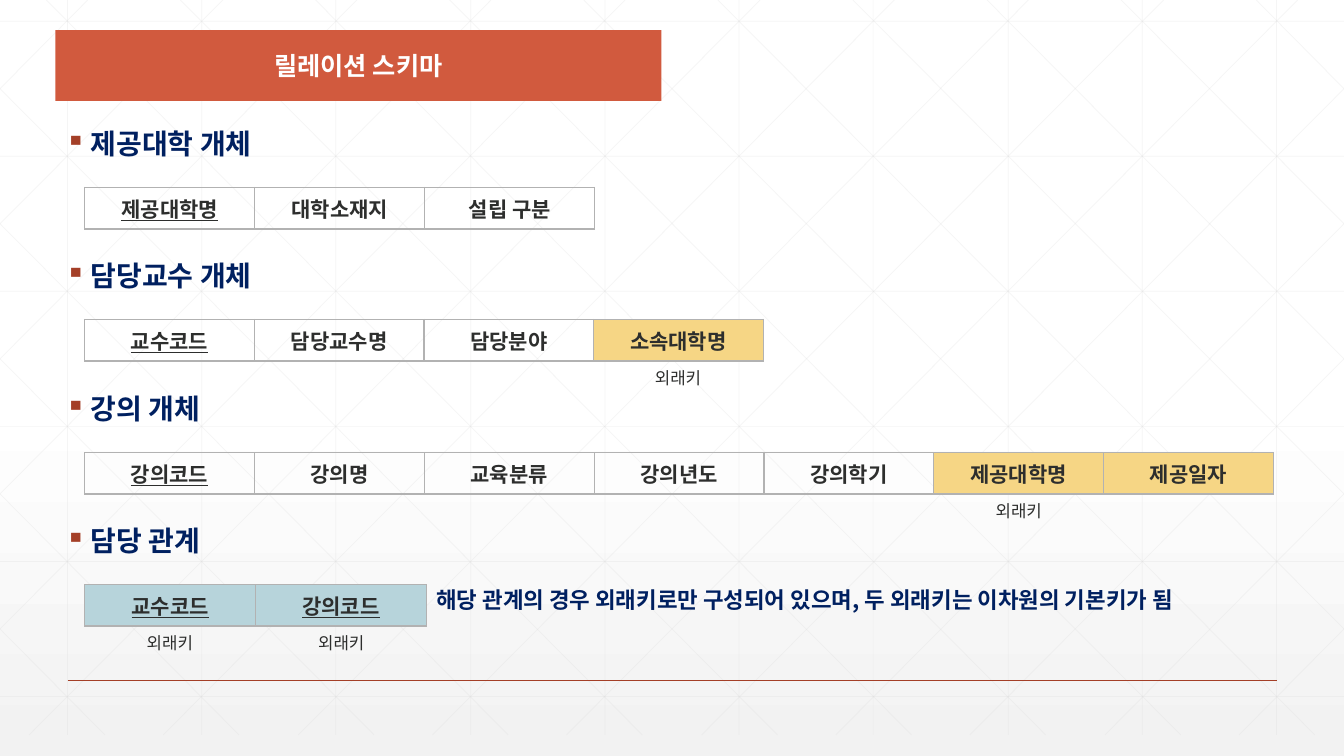
from dataclasses import dataclass

import pptx
import pptx.dml.color
import pptx.enum.dml
import pptx.enum.shapes
import pptx.enum.text
import pptx.oxml
import pptx.oxml.ns
import pptx.util
from lxml import etree

RGB = pptx.dml.color.RGBColor
ALIGN = pptx.enum.text.PP_ALIGN
MIDDLE = pptx.enum.text.MSO_ANCHOR.MIDDLE

WHITE = RGB(0xFF, 0xFF, 0xFF)
MIST = RGB(0xF2, 0xF2, 0xF2)
GRID = RGB(0xD9, 0xD9, 0xD9)
RUST = RGB(0xA4, 0x3F, 0x27)
CORAL = RGB(0xD1, 0x5A, 0x3E)
NAVY = RGB(0x00, 0x20, 0x60)
INK = RGB(0x2D, 0x2E, 0x2D)
EDGE = RGB(0xB2, 0xB2, 0xB2)
GOLD = RGB(0xF6, 0xD6, 0x85)
TEAL = RGB(0xB7, 0xD4, 0xDB)

SANS = "Noto Sans CJK KR"
SCALE = 9144  # EMU in one px, 100 px to the inch
WIDE, HIGH = 1333, 750
FOOT = 729  # lower end of the lattice


@dataclass
class Field:
    name: str
    fill: RGB | None = None
    key: bool = False
    label: str = ""


@dataclass
class Schema:
    title: str
    width: int
    fields: list[Field]


SCHEMAS = [
    Schema("제공대학 개체", 506, [
        Field("제공대학명", key=True), Field("대학소재지"), Field("설립 구분")]),
    Schema("담당교수 개체", 673, [
        Field("교수코드", key=True), Field("담당교수명"), Field("담당분야"),
        Field("소속대학명", GOLD, label="외래키")]),
    Schema("강의 개체", 1179, [
        Field("강의코드", key=True), Field("강의명"), Field("교육분류"),
        Field("강의년도"), Field("강의학기"),
        Field("제공대학명", GOLD, label="외래키"), Field("제공일자", GOLD)]),
    Schema("담당 관계", 339, [
        Field("교수코드", TEAL, True, "외래키"),
        Field("강의코드", TEAL, True, "외래키")]),
]


def px(size: float) -> int:
    return round(size) * SCALE


def child(parent: etree._Element, tag: str, **attrs: str) -> etree._Element:
    return etree.SubElement(parent, pptx.oxml.ns.qn(tag), attrs)


def style(para, size: int, color: RGB, bold: bool = True, font: str = SANS) -> None:
    for run in para.runs:
        run.font.size = pptx.util.Pt(size)
        run.font.name = font
        run.font.bold = bold
        run.font.color.rgb = color
        if font == SANS:
            child(run.font._element, "a:ea", typeface=font)


def line(x1: float, y1: float, x2: float, y2: float, color: RGB, width: float,
         alpha: int = 100) -> None:
    kind = pptx.enum.shapes.MSO_CONNECTOR.STRAIGHT
    rule = slide.shapes.add_connector(kind, px(x1), px(y1), px(x2), px(y2))
    rule.line.color.rgb = color
    rule.line.width = pptx.util.Pt(width)
    if alpha < 100:
        tint = rule.element.find(".//" + pptx.oxml.ns.qn("a:srgbClr"))
        child(tint, "a:alpha", val=str(alpha * 1000))
    child(rule.element.spPr, "a:effectLst")


def write(text: str, x: float, y: float, w: float, h: float, top: int = 0):
    frame = slide.shapes.add_textbox(px(x), px(y), px(w), px(h)).text_frame
    frame.word_wrap = True
    frame.margin_top = px(top)
    frame.text = text
    return frame.paragraphs[0]


def heading(text: str, y: float) -> None:
    para = write(text, 55, y, 1209, 41)
    para.line_spacing = 0.9
    props = para._p.get_or_add_pPr()
    props.set("marL", str(px(25)))
    props.set("indent", str(px(-25)))
    child(child(props, "a:buClr"), "a:srgbClr", val=str(RUST))
    child(props, "a:buChar", char="▪")
    style(para, 20, NAVY)


def border(cell) -> None:
    props = cell._tc.get_or_add_tcPr()
    for side, width in (("L", 1), ("R", 1), ("T", 1), ("B", 2)):
        edge = child(props, "a:ln" + side, w=str(pptx.util.Pt(width)))
        child(child(edge, "a:solidFill"), "a:srgbClr", val=str(EDGE))


def table(schema: Schema, x: int, y: float) -> None:
    count = len(schema.fields)
    step = schema.width / count
    grid = slide.shapes.add_table(1, count, px(x), px(y), px(schema.width), px(41)).table
    grid.first_row = grid.horz_banding = False
    for i, field in enumerate(schema.fields):
        cell = grid.cell(0, i)
        border(cell)
        if field.fill is None:
            cell.fill.background()
        else:
            cell.fill.solid()
            cell.fill.fore_color.rgb = field.fill
        cell.vertical_anchor = MIDDLE
        cell.text_frame.text = field.name
        para = cell.text_frame.paragraphs[0]
        para.alignment = ALIGN.CENTER
        style(para, 15, INK, font="Arial")
        para.runs[0].font.underline = field.key
        if field.label:
            note = write(field.label, x + (i + 0.5) * step - 43.5, y + 44, 87, 30, 4)
            note.alignment = ALIGN.CENTER
            style(note, 12, INK, bold=False)


deck = pptx.Presentation()
deck.slide_width, deck.slide_height = px(WIDE), px(HIGH)
slide = deck.slides.add_slide(deck.slide_layouts[5])

# Background
back = slide.background.fill
back.gradient()
back.gradient_angle = 270
for stop, color, place in zip(back.gradient_stops, (WHITE, MIST), (0.53, 1)):
    stop.color.rgb = color
    stop.position = place

# Lattice: uprights, levels, and diagonals with their mirror images
pitch = WIDE / 10
for i in range(10):
    line((i + 0.5) * pitch, 0, (i + 0.5) * pitch, FOOT, GRID, 0.5, 25)
for i in range(6):
    line(0, 21 + 134 * i, WIDE, 21 + 134 * i, GRID, 0.5, 25)
slope = 0.994
for i in range(-5, 10):
    start = 46 + i * pitch
    y1 = max(0, -start / slope)
    y2 = min(FOOT, (WIDE - start) / slope)
    x1, x2 = start + y1 * slope, start + y2 * slope
    line(x1, y1, x2, y2, GRID, 0.5, 25)
    line(WIDE - x1, y1, WIDE - x2, y2, GRID, 0.5, 25)
line(67, 675, 1267, 675, RUST, 1)

# Title banner, in front of the lattice
title = slide.shapes.title
title.left, title.top, title.width, title.height = px(55), px(30), px(601), px(70)
title.fill.solid()
title.fill.fore_color.rgb = CORAL
frame = title.text_frame
frame.text = "릴레이션 스키마"
frame.auto_size = pptx.enum.text.MSO_AUTO_SIZE.NONE
frame.vertical_anchor = MIDDLE
frame.paragraphs[0].alignment = ALIGN.CENTER
style(frame.paragraphs[0], 18, WHITE)
title.element.getparent().append(title.element)

# Schemas
for i, schema in enumerate(SCHEMAS):
    y = 129 + i * 131.33
    heading(schema.title, y)
    table(schema, 84, y + 57)

# Remark beside the last schema
remark = write("해당 관계의 경우 외래키로만 구성되어 있으며, 두 외래키는 이차원의 기본키가 됨",
               423, 582, 840, 41, 2)
remark.line_spacing = 0.9
style(remark, 16, NAVY)

deck.save("out.pptx")
